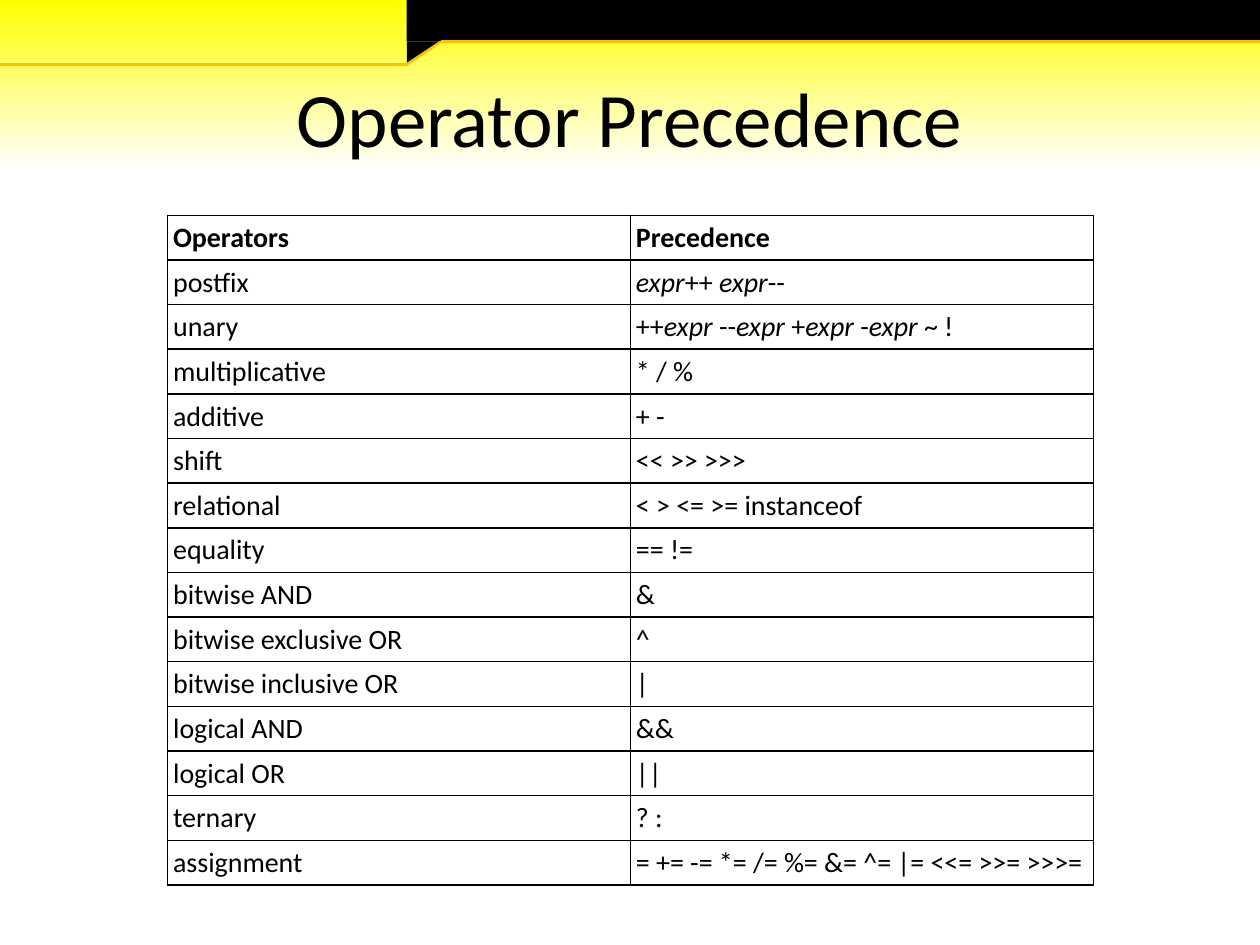
from lxml import etree
from pptx import Presentation
from pptx.dml.color import RGBColor
from pptx.enum.shapes import MSO_CONNECTOR, MSO_SHAPE
from pptx.enum.text import MSO_ANCHOR, PP_ALIGN
from pptx.oxml import parse_xml
from pptx.oxml.ns import nsdecls, qn
from pptx.util import Cm, Pt

STRAIGHT = MSO_CONNECTOR.STRAIGHT
RECTANGLE = MSO_SHAPE.RECTANGLE
TRIANGLE = MSO_SHAPE.ISOSCELES_TRIANGLE
MIDDLE = MSO_ANCHOR.MIDDLE
CENTER = PP_ALIGN.CENTER

FONT = "Calibri"
BLACK = "000000"
WHITE = "FFFFFF"
YELLOW = "FFFF00"
ORANGE = "FFC000"

SLIDE_WIDTH, SLIDE_HEIGHT = 25.4, 19.05
TAB_RIGHT, BAND_LEFT = 8.2, 8.89
BAND_BOTTOM, TAB_BOTTOM = 0.84, 1.3
COLUMN_WIDTH, ROW_HEIGHT, CELL_MARGIN = 9.33, 0.9, 0.11

ROWS = [
    ("Operators", "Precedence"),
    ("postfix", "_expr_++ _expr_--"),
    ("unary", "++_expr_ --_expr_ +_expr_ -_expr_ ~ !"),
    ("multiplicative", "* / %"),
    ("additive", "+ -"),
    ("shift", "<< >> >>>"),
    ("relational", "< > <= >= instanceof"),
    ("equality", "== !="),
    ("bitwise AND", "&"),
    ("bitwise exclusive OR", "^"),
    ("bitwise inclusive OR", "|"),
    ("logical AND", "&&"),
    ("logical OR", "||"),
    ("ternary", "? :"),
    ("assignment", "= += -= *= /= %= &= ^= |= <<= >>= >>>="),
]


def color(value):
    """Return the colour for a hex string."""
    return RGBColor.from_string(value)


def set_background(slide):
    """Fade the background from yellow at the top to white."""
    fill = slide.background.fill
    fill.gradient()
    fill.gradient_angle = 270
    stops = ((0, YELLOW), (0.18, WHITE))
    for stop, (position, value) in zip(fill.gradient_stops, stops):
        stop.position = position
        stop.color.rgb = color(value)


def add_block(slide, kind, left, top, width, height):
    """Add a plain black shape and return it."""
    shape = slide.shapes.add_shape(kind, Cm(left), Cm(top), Cm(width), Cm(height))
    shape.shadow.inherit = False
    shape.fill.solid()
    shape.fill.fore_color.rgb = color(BLACK)
    shape.line.fill.background()
    return shape


def add_line(slide, start, end):
    """Add an orange line between two points."""
    connector = slide.shapes.add_connector(STRAIGHT, *map(Cm, start + end))
    connector.line.color.rgb = color(ORANGE)
    connector.line.width = Pt(1.5)
    etree.SubElement(connector._element.spPr, qn("a:effectLst"))


def add_header(slide):
    """Draw the black band and its stepped orange edge."""
    add_block(slide, RECTANGLE, TAB_RIGHT, 0, SLIDE_WIDTH - TAB_RIGHT, BAND_BOTTOM)
    corner = add_block(slide, TRIANGLE, TAB_RIGHT, BAND_BOTTOM,
                       BAND_LEFT - TAB_RIGHT, TAB_BOTTOM - BAND_BOTTOM)
    corner.adjustments[0] = 1
    corner.rotation = 180
    edge = [(0, TAB_BOTTOM), (TAB_RIGHT, TAB_BOTTOM),
            (BAND_LEFT, BAND_BOTTOM), (SLIDE_WIDTH, BAND_BOTTOM)]
    for start, end in zip(edge, edge[1:]):
        add_line(slide, start, end)


def format_font(font, size):
    """Set the font face, size and colour."""
    font.name = FONT
    font.size = Pt(size)
    font.color.rgb = color(BLACK)


def add_title(slide, text):
    """Add the centred slide title."""
    shape = slide.shapes.add_textbox(Cm(1.27), Cm(0.76), Cm(22.86), Cm(3.18))
    text_frame = shape.text_frame
    text_frame.word_wrap = True
    text_frame.vertical_anchor = MIDDLE
    text_frame.text = text
    paragraph = text_frame.paragraphs[0]
    paragraph.alignment = CENTER
    format_font(paragraph.runs[0].font, 44)


def set_borders(cell):
    """Put a thin black border on each side of a cell."""
    properties = cell._tc.get_or_add_tcPr()
    for index, side in enumerate(("lnL", "lnR", "lnT", "lnB")):
        properties.insert(index, parse_xml(
            f'<a:{side} {nsdecls("a")} w="{Pt(1)}"><a:solidFill>'
            f'<a:srgbClr val="{BLACK}"/></a:solidFill></a:{side}>'))


def fill_cell(cell, text, bold):
    """Write a cell, with the parts between underscores in italics."""
    cell.fill.background()
    set_borders(cell)
    cell.vertical_anchor = MIDDLE
    cell.margin_left = cell.margin_right = Cm(CELL_MARGIN)
    cell.margin_top = cell.margin_bottom = Cm(CELL_MARGIN)
    paragraph = cell.text_frame.paragraphs[0]
    for index, piece in enumerate(text.split("_")):
        if piece:
            run = paragraph.add_run()
            run.text = piece
            format_font(run.font, 16)
            run.font.bold = bold
            run.font.italic = index % 2 == 1


def add_operator_table(slide):
    """Add the table of operators in order of precedence."""
    frame = slide.shapes.add_table(len(ROWS), 2, Cm(3.38), Cm(4.34),
                                   Cm(2 * COLUMN_WIDTH), Cm(len(ROWS) * ROW_HEIGHT))
    table = frame.table
    table.horz_banding = False
    for row_index, texts in enumerate(ROWS):
        table.rows[row_index].height = Cm(ROW_HEIGHT)
        for column_index, text in enumerate(texts):
            fill_cell(table.cell(row_index, column_index), text, row_index == 0)


def main():
    """Build and save the slide."""
    presentation = Presentation()
    presentation.slide_width = Cm(SLIDE_WIDTH)
    presentation.slide_height = Cm(SLIDE_HEIGHT)
    slide = presentation.slides.add_slide(presentation.slide_layouts[6])
    set_background(slide)
    add_header(slide)
    add_title(slide, "Operator Precedence")
    add_operator_table(slide)
    presentation.save("out.pptx")


if __name__ == "__main__":
    main()
